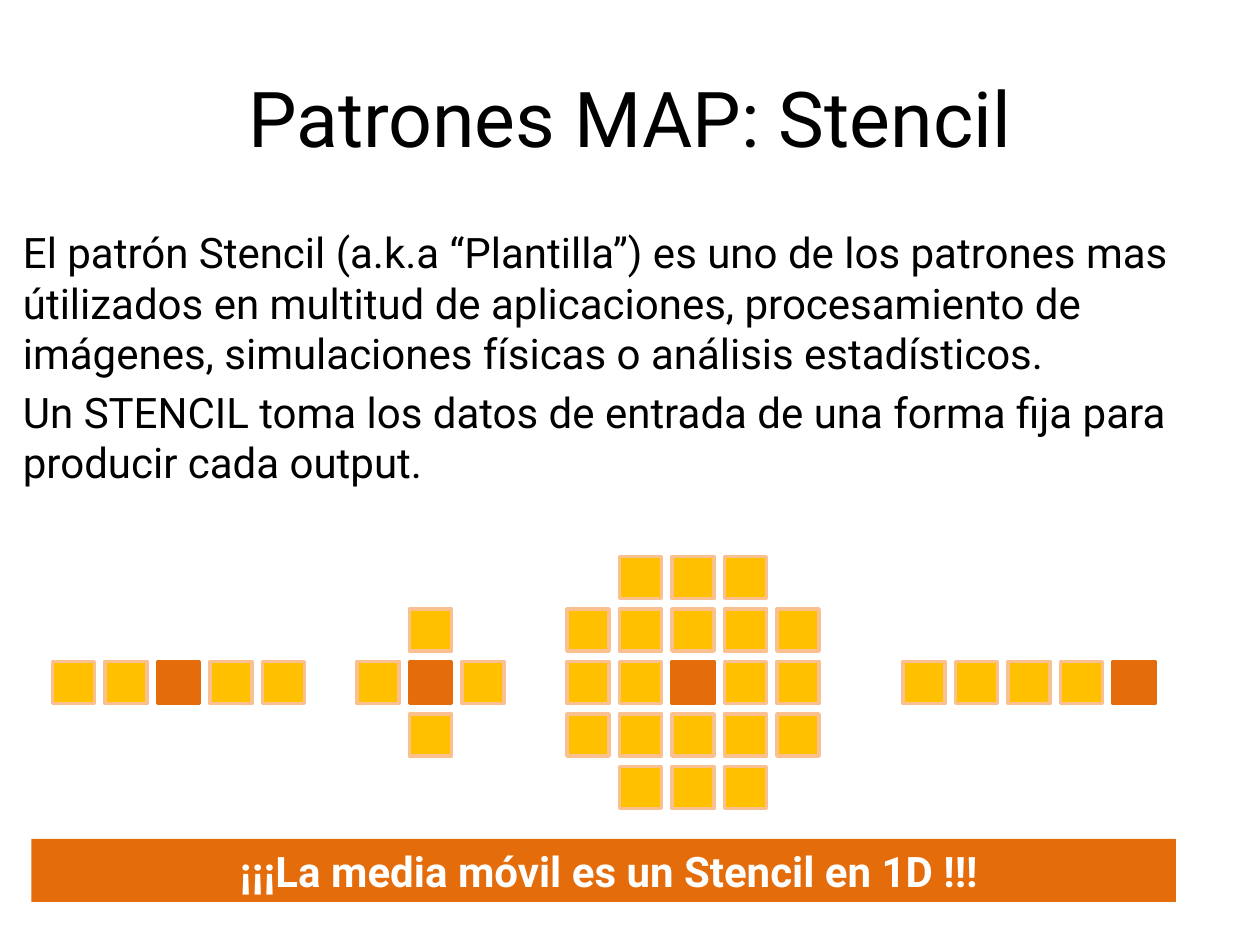
from dataclasses import dataclass

from pptx import Presentation
from pptx.dml.color import RGBColor as Rgb
from pptx.enum.shapes import MSO_SHAPE as Shape
from pptx.enum.text import MSO_ANCHOR as Anchor, PP_ALIGN as Align
from pptx.util import Inches, Pt


@dataclass(frozen=True)
class Theme:
    font: str = "Roboto"
    ink: str = "000000"
    paper: str = "FFFFFF"
    core: str = "E46C0A"
    cell: str = "FFC000"
    edge: str = "FAC090"
    title: int = 44
    body: int = 24
    line: int = 2


class Deck:
    """Draws styled elements on a slide measured in 24 columns and 18 rows."""

    def __init__(self, theme):
        self.theme = theme
        self.deck = Presentation()
        self.deck.slide_width, self.deck.slide_height = Inches(10), Inches(7.5)
        self.slide = self.deck.slides.add_slide(self.deck.slide_layouts[6])

    def place(self, col, row, wide, high):
        across, down = self.deck.slide_width / 24, self.deck.slide_height / 18
        return [round(n) for n in (col * across, row * down, wide * across, high * down)]

    def style(self, frame, text, size, color, align=Align.LEFT, anchor=Anchor.TOP,
              bold=False, space=0):
        frame.word_wrap = True
        frame.vertical_anchor = anchor
        frame.text = text
        for para in frame.paragraphs:
            para.alignment = align
            para.space_before = Pt(space)
            for run in para.runs:
                font = run.font
                font.name, font.size, font.bold = self.theme.font, Pt(size), bold
                font.color.rgb = Rgb.from_string(color)

    def text(self, area, text, size, **look):
        box = self.slide.shapes.add_textbox(*self.place(*area))
        self.style(box.text_frame, text, size, self.theme.ink, **look)

    def rect(self, area, fill, edge=None):
        box = self.slide.shapes.add_shape(Shape.RECTANGLE, *self.place(*area))
        box.shadow.inherit = False
        box.fill.solid()
        box.fill.fore_color.rgb = Rgb.from_string(fill)
        if edge:
            box.line.color.rgb = Rgb.from_string(edge)
            box.line.width = Pt(self.theme.line)
        else:
            box.line.fill.background()
        return box

    def banner(self, area, text):
        box = self.rect(area, self.theme.core)
        self.style(box.text_frame, text, self.theme.body, self.theme.paper,
                   align=Align.CENTER, anchor=Anchor.MIDDLE, bold=True)

    def stencil(self, left, top, rows):
        theme = self.theme
        looks = {"o": (theme.cell, theme.edge), "X": (theme.core, theme.core)}
        for row, marks in enumerate(rows):
            for col, mark in enumerate(marks):
                if mark in looks:
                    self.rect((left + col, top + row, 0.8, 0.8), *looks[mark])


def main():
    theme = Theme()
    deck = Deck(theme)
    deck.text((1.2, 0.72, 21.6, 3), "Patrones MAP: Stencil", theme.title,
              align=Align.CENTER, anchor=Anchor.MIDDLE)
    deck.text((0.2, 4.2, 23.4, 11.88),
              "El patrón Stencil (a.k.a “Plantilla”) es uno de los patrones mas "
              "útilizados en multitud de aplicaciones, procesamiento de imágenes, "
              "simulaciones físicas o análisis estadísticos.\n"
              "Un STENCIL toma los datos de entrada de una forma fija para "
              "producir cada output.", theme.body, space=0.2 * theme.body)
    deck.stencil(1, 12.6, ["ooXoo"])
    deck.stencil(6.8, 11.6, [".o.", "oXo", ".o."])
    deck.stencil(10.8, 10.6, [".ooo.", "ooooo", "ooXoo", "ooooo", ".ooo."])
    deck.stencil(17.2, 12.6, ["ooooX"])
    deck.banner((0.6, 15.98, 21.8, 1.2), " ¡¡¡La media móvil es un Stencil en 1D !!!")
    deck.deck.save("out.pptx")


if __name__ == "__main__":
    main()
